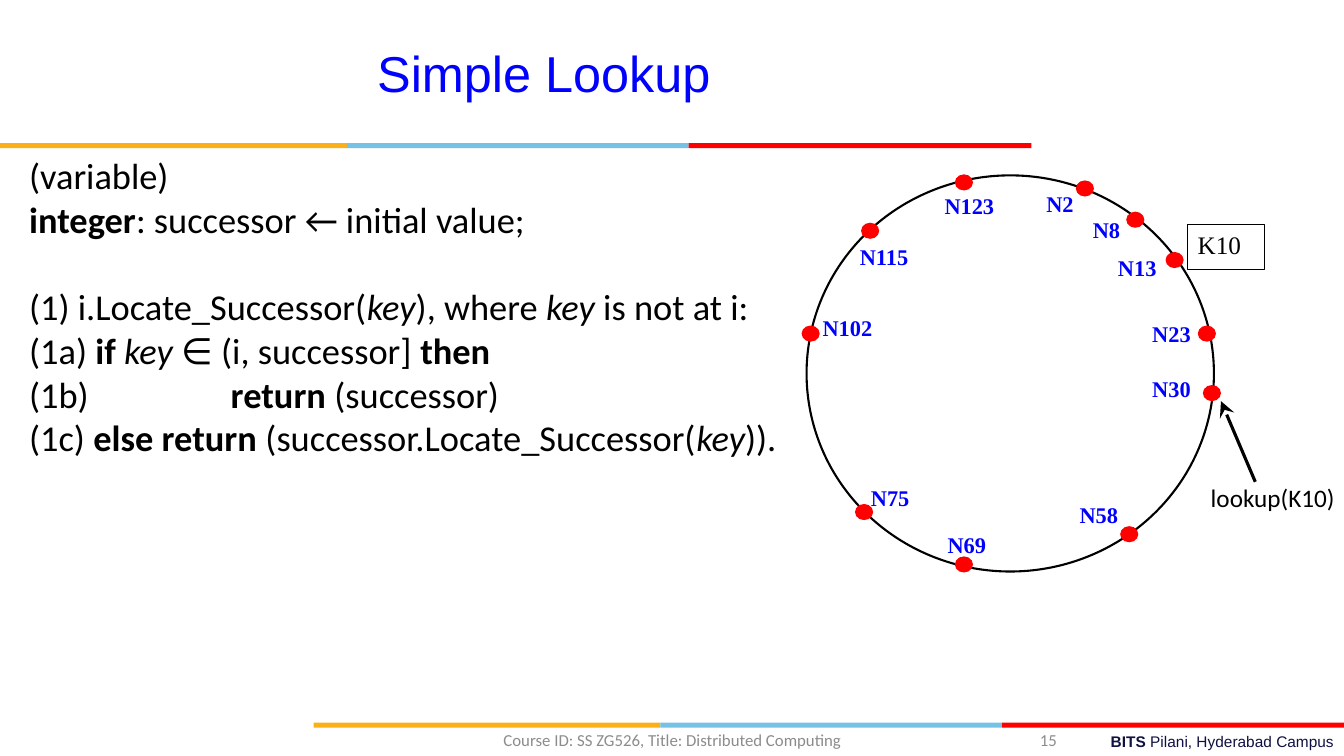
from lxml import etree
from pptx import Presentation
from pptx import util as u
from pptx.dml.color import RGBColor
from pptx.enum import shapes, text
from pptx.oxml.ns import qn

PX = 9144  # 100 px to the inch
COLORS = {
    "gold": "FCB017", "sky": "76C2E5", "red": "FF0000", "blue": "0000FF",
    "black": "000000", "white": "FFFFFF", "gray": "8C8C8C", "navy": "101141",
}
ALIGN = {"l": text.PP_ALIGN.LEFT, "c": text.PP_ALIGN.CENTER, "r": text.PP_ALIGN.RIGHT}


def color(name):
    return RGBColor.from_string(COLORS[name])


def write(frame, paragraphs, size=16, font="Calibri", ink="black", align="l",
          middle=False, right_inset=10, gaps=None, tabs=()):
    """Each paragraph is a list of (words, style); style holds b and/or i.
    gaps maps a paragraph index to its space before in points; tabs are in px."""
    frame.word_wrap = True
    frame.margin_right = right_inset * PX
    frame.vertical_anchor = text.MSO_ANCHOR.MIDDLE if middle else text.MSO_ANCHOR.TOP
    for index, spans in enumerate(paragraphs):
        para = frame.paragraphs[0] if index == 0 else frame.add_paragraph()
        para.alignment = ALIGN[align]
        if gaps and index in gaps:
            para.space_before = u.Pt(gaps[index])
        if tabs:
            stops = etree.SubElement(para._p.get_or_add_pPr(), qn("a:tabLst"))
            for stop in tabs:
                etree.SubElement(stops, qn("a:tab"), pos=str(stop * PX), algn="l")
        for words, style in spans:
            span = para.add_run()
            span.text = words
            span.font.name = font
            span.font.size = u.Pt(size)
            span.font.color.rgb = color(ink)
            span.font.bold = "b" in style
            span.font.italic = "i" in style


class Board:
    def __init__(self, page):
        self.page = page

    def shape(self, kind, left, top, width, height, fill=None, line=None, weight=1.0):
        item = self.page.shapes.add_shape(kind, left * PX, top * PX, width * PX, height * PX)
        item.shadow.inherit = False
        if fill:
            item.fill.solid()
            item.fill.fore_color.rgb = color(fill)
        else:
            item.fill.background()
        if line:
            item.line.color.rgb = color(line)
            item.line.width = u.Pt(weight)
        else:
            item.line.fill.background()
        return item

    def rect(self, *place, **style):
        return self.shape(shapes.MSO_SHAPE.RECTANGLE, *place, **style)

    def oval(self, *place, **style):
        return self.shape(shapes.MSO_SHAPE.OVAL, *place, **style)

    def label(self, left, top, width, height, paragraphs, **style):
        box = self.page.shapes.add_textbox(left * PX, top * PX, width * PX, height * PX)
        if isinstance(paragraphs, str):
            paragraphs = [[(paragraphs, "")]]
        write(box.text_frame, paragraphs, **style)

    def stripe(self, left, top):
        for name, width in (("gold", 344), ("sky", 339), ("red", 340)):
            self.rect(left, top, width, 5, fill=name)
            left += width

    def arrow(self, x1, y1, x2, y2, weight):
        line = self.page.shapes.add_connector(
            shapes.MSO_CONNECTOR.STRAIGHT, x1 * PX, y1 * PX, x2 * PX, y2 * PX)
        line.line.color.rgb = color("black")
        line.line.width = u.Pt(weight)
        etree.SubElement(line.line._get_or_add_ln(), qn("a:tailEnd"),
                         type="stealth", w="lg", len="lg")
        etree.SubElement(line._element.spPr, qn("a:effectLst"))


# name: label left, label top, label width, dot left, dot top
NODES = {
    "N2": (1028, 184, 76, 1067, 179),
    "N8": (1074, 210, 76, 1117, 210),
    "N13": (1099, 247, 76, 1156, 250),
    "N23": (1133, 313, 76, 1188, 323),
    "N30": (1133, 367, 76, 1193, 382),
    "N58": (1061, 492, 76, 1111, 522),
    "N69": (930, 522, 76, 947, 552),
    "N75": (854, 475, 76, 848, 500),
    "N102": (806, 307, 91, 795, 323),
    "N115": (843, 236, 97, 854, 221),
    "N123": (927, 186, 86, 947, 173),
}

ALGORITHM = [
    [("(variable)", "")],
    [("integer", "b"), (": successor ← initial value;", "")],
    [("(1) i.Locate_Successor(", ""), ("key", "i"), ("), where ", ""),
     ("key ", "i"), ("is not at i:", "")],
    [("(1a) ", ""), ("if ", "b"), ("key", "i"), (" ∈ (i, successor] ", ""), ("then", "b")],
    [("(1b) \t\t", ""), ("return ", "b"), ("(successor)", "")],
    [("(1c) ", ""), ("else return ", "b"), ("(successor.Locate_Successor(", ""),
     ("key", "i"), (")).", "")],
]


def main():
    deck = Presentation()
    deck.slide_width, deck.slide_height = u.Inches(13.33), u.Inches(7.5)
    board = Board(deck.slides.add_slide(deck.slide_layouts[6]))

    # Stripes, title and footer
    board.stripe(0, 142)
    board.stripe(311, 717)
    board.label(478, 721, 855, 29, [[("BITS ", "b"), ("Pilani, Hyderabad Campus", "")]],
                size=11, font="Arial", ink="navy", align="r")
    board.label(206, 9, 667, 125, "Simple Lookup", size=36, font="Arial", ink="blue",
                align="c", middle=True)
    board.label(922, 714, 136, 40, "15", size=12, ink="gray", align="r", middle=True)
    board.label(442, 714, 450, 40, "Course ID: SS ZG526, Title: Distributed Computing",
                size=12, ink="gray", align="c", middle=True)

    # Algorithm, with one line of space before step (1)
    board.label(19, 147, 789, 316, ALGORITHM, size=26, gaps={2: 31.5}, tabs=(100, 200))

    # Ring of nodes
    key_box = board.rect(1178, 223, 76, 44, fill="white", line="black", weight=0.75)
    write(key_box.text_frame, [[("K10", "")]], size=18, font="Times New Roman")
    board.oval(800, 174, 404, 393, line="black", weight=1.5)
    for name, (left, top, width, dot_left, dot_top) in NODES.items():
        board.label(left, top, width, 40, [[(name, "b")]], font="Times New Roman", ink="blue")
        board.oval(dot_left, dot_top, 18, 16, fill="red")

    # Lookup request
    board.arrow(1245, 478, 1211, 398, 2.25)
    board.label(1191, 474, 142, 40, "lookup(K10)", size=18, right_inset=0)

    deck.save("out.pptx")


if __name__ == "__main__":
    main()
